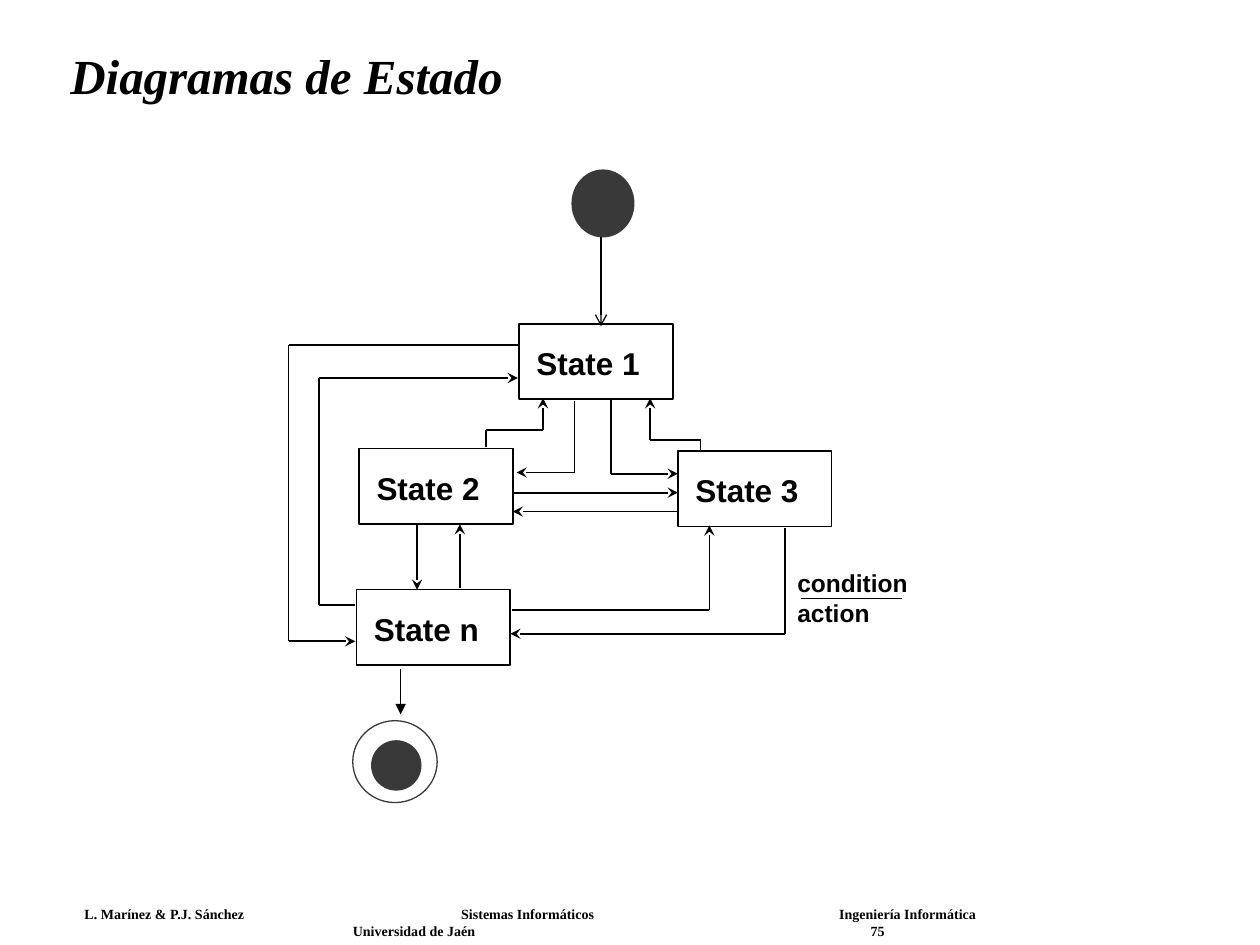
from itertools import pairwise
from pptx import Presentation
from pptx.dml.color import RGBColor
from pptx.enum import shapes, text
from pptx.oxml.ns import qn
from pptx.util import Inches, Pt
from lxml import etree

BLACK, WHITE, GREY = "000000", "FFFFFF", "393939"

# Content
TITLE = "Diagramas de Estado"
FOOTER = [
    ("L. Marínez & P.J. Sánchez\tSistemas Informáticos\tIngeniería Informática", (2.99, 5.99)),
    ("\tUniversidad de Jaén\t75", (2.13, 6.24)),
]
STATES = [("State 1", 4.12, 2.57), ("State 2", 2.85, 3.56),
          ("State 3", 5.38, 3.58), ("State n", 2.83, 4.68)]
STATE_SIZE = (1.22, 0.6)

# Each transition is a list of corners; the arrowhead sits on the last one
TRANSITIONS = [
    [(4.56, 3.18), (4.56, 3.75), (4.1, 3.75)],                # 1 to 2
    [(4.85, 3.17), (4.85, 3.76), (5.38, 3.76)],               # 1 to 3
    [(4.11, 2.74), (2.29, 2.74), (2.29, 5.09), (2.82, 5.09)], # 1 to n
    [(3.86, 3.55), (3.86, 3.41), (4.31, 3.41), (4.31, 3.16)], # 2 to 1
    [(4.08, 3.91), (5.38, 3.91)],                             # 2 to 3
    [(3.31, 4.17), (3.31, 4.68)],                             # 2 to n
    [(5.56, 3.57), (5.56, 3.49), (5.16, 3.49), (5.16, 3.16)], # 3 to 1
    [(5.38, 4.06), (4.07, 4.06)],                             # 3 to 2
    [(6.23, 4.19), (6.23, 5.03), (4.05, 5.03)],               # 3 to n
    [(2.82, 4.8), (2.53, 4.8), (2.53, 3), (4.11, 3)],         # n to 1
    [(3.65, 4.67), (3.65, 4.16)],                             # n to 2
    [(4.06, 4.84), (5.63, 4.84), (5.63, 4.17)],               # n to 3
]


def color(value):
    return RGBColor.from_string(value)


def add_text(lines, left, top, width, height, size=18, font="Arial", italic=False,
             inset=(0.1, 0.05), anchor=text.MSO_ANCHOR.TOP, spacing=None, wrap=False):
    """Each line is a string, or a string with its tab stops."""
    frame = slide.shapes.add_textbox(*map(Inches, (left, top, width, height))).text_frame
    frame.word_wrap = wrap
    frame.vertical_anchor = anchor
    frame.margin_left = frame.margin_right = Inches(inset[0])
    frame.margin_top = frame.margin_bottom = Inches(inset[1])
    for index, line in enumerate(lines):
        words, stops = (line, ()) if isinstance(line, str) else line
        paragraph = frame.add_paragraph() if index else frame.paragraphs[0]
        if spacing:
            paragraph.line_spacing = spacing
        if stops:
            tabs = etree.SubElement(paragraph._p.get_or_add_pPr(), qn("a:tabLst"))
            for stop in stops:
                etree.SubElement(tabs, qn("a:tab"), pos=str(Inches(stop)), algn="l")
        run = paragraph.add_run()
        run.text = words
        run.font.size = Pt(size)
        run.font.name = font
        run.font.bold = True
        run.font.italic = italic
        run.font.color.rgb = color(BLACK)


def add_shape(kind, left, top, width, height, fill=None, line=BLACK, weight=1):
    shape = slide.shapes.add_shape(kind, *map(Inches, (left, top, width, height)))
    shape.shadow.inherit = False
    if fill:
        shape.fill.solid()
        shape.fill.fore_color.rgb = color(fill)
    else:
        shape.fill.background()
    shape.line.color.rgb = color(line)
    shape.line.width = Pt(weight)


def add_route(points, arrow=None, weight=1):
    for start, end in pairwise(points):
        line = slide.shapes.add_connector(
            shapes.MSO_CONNECTOR.STRAIGHT, *map(Inches, (*start, *end)))
        line.line.color.rgb = color(BLACK)
        line.line.width = Pt(weight)
        etree.SubElement(line._element.spPr, qn("a:effectLst"))
    if arrow:
        etree.SubElement(line.line._get_or_add_ln(), qn("a:tailEnd"), type=arrow)


presentation = Presentation()
presentation.slide_width, presentation.slide_height = Inches(10), Inches(7.5)
slide = presentation.slides.add_slide(presentation.slide_layouts[6])

# Footer and title
add_text(FOOTER, 0.59, 7.15, 8.65, 0.21, size=8, font="Times New Roman",
         inset=(0.08, 0.04), wrap=True)
add_text([TITLE], 0.46, 0.24, 8.92, 0.77, size=28, font="Times New Roman", italic=True,
         anchor=text.MSO_ANCHOR.MIDDLE, spacing=0.9, wrap=True)

# States
for name, left, top in STATES:
    add_shape(shapes.MSO_SHAPE.RECTANGLE, left, top, *STATE_SIZE, fill=WHITE)
    add_text([name], left + 0.04, top + 0.11, 1.06, 0.4)

# Transitions, with the label of one
for points in TRANSITIONS:
    add_route(points, "stealth")
add_text(["condition", "action"], 6.23, 4.46, 1.13, 0.57, size=14)
add_route([(6.36, 4.75), (7.16, 4.75)])

# Initial and final states
OVAL = shapes.MSO_SHAPE.OVAL
add_shape(OVAL, 4.54, 1.35, 0.49, 0.53, GREY, GREY, 0.75)
add_route([(4.77, 1.88), (4.77, 2.59)], "arrow", 0.75)
add_shape(OVAL, 2.95, 5.88, 0.39, 0.39, GREY, GREY, 0.75)
add_route([(3.18, 5.31), (3.18, 5.67)], "triangle", 0.75)
add_shape(OVAL, 2.8, 5.72, 0.67, 0.65, None, GREY, 0.75)

presentation.save("out.pptx")
